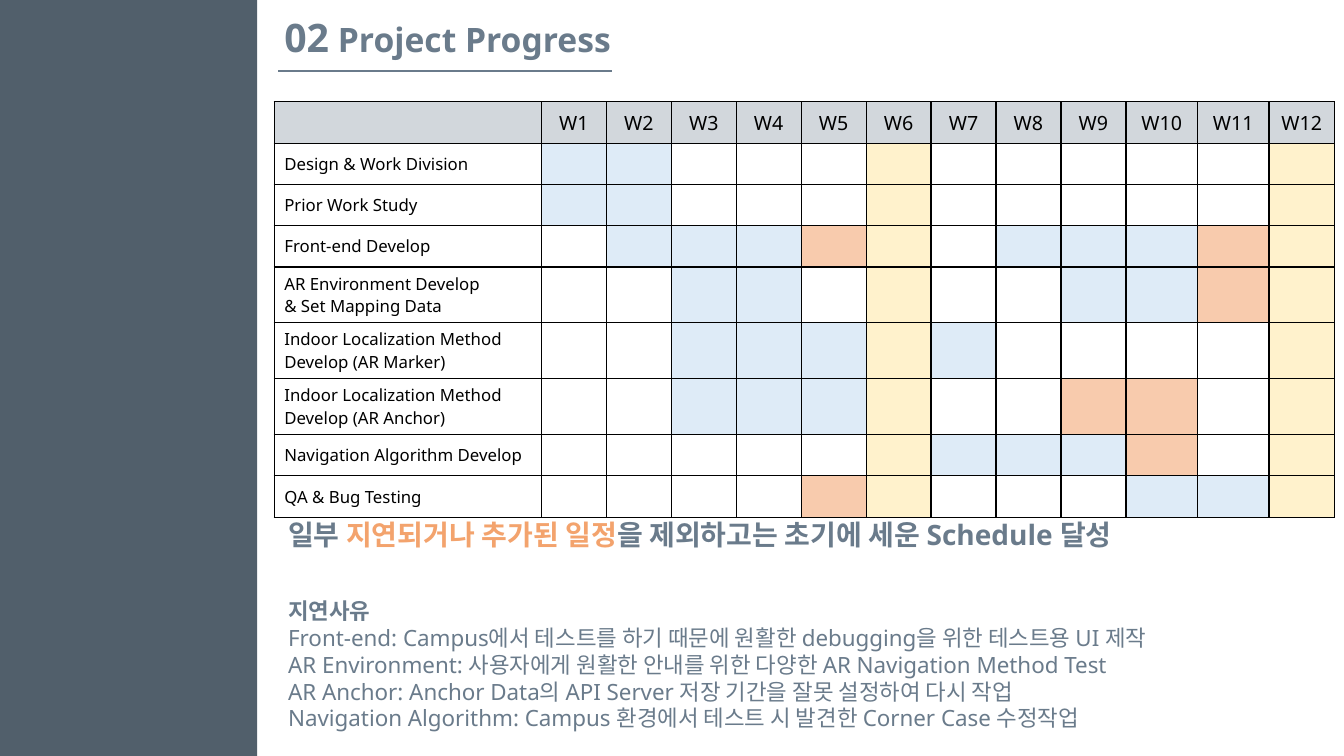
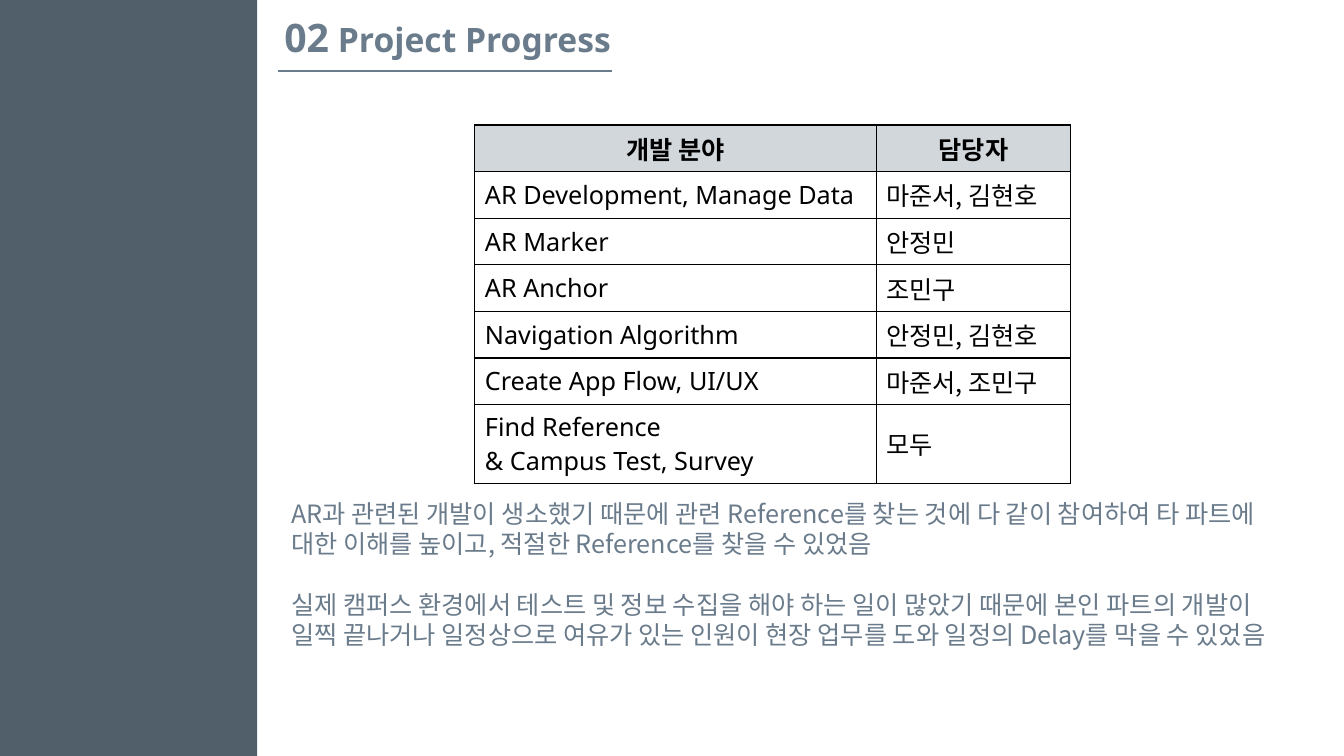
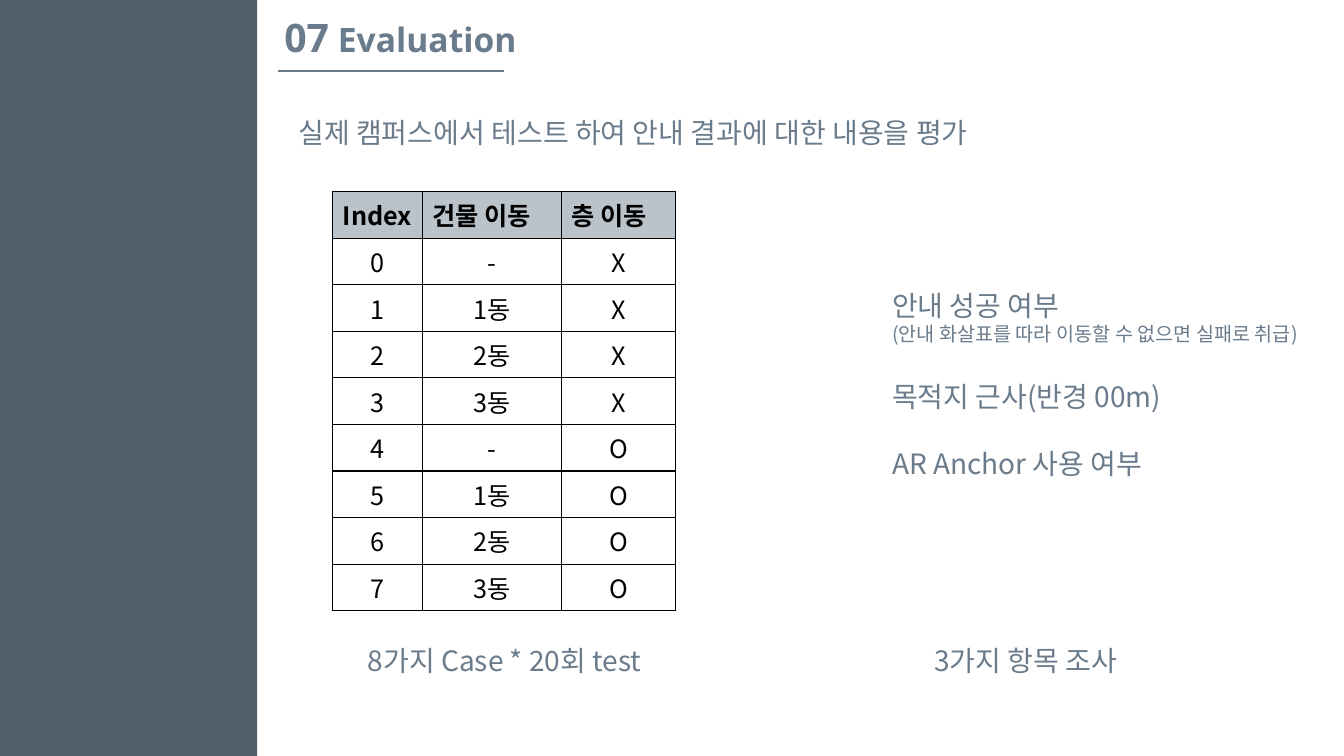
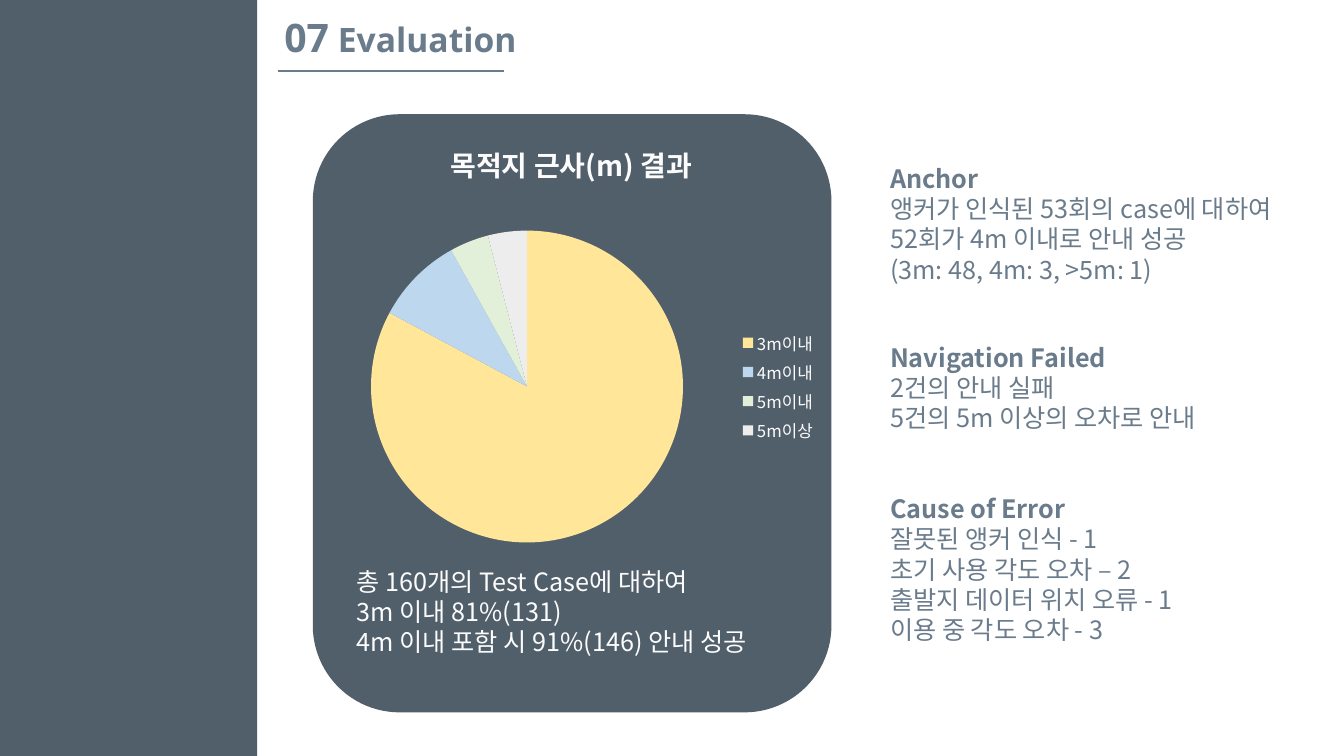
from dataclasses import dataclass

from lxml.etree import SubElement
from pptx import Presentation
from pptx.chart.data import CategoryChartData
from pptx.dml.color import RGBColor
from pptx.enum.chart import XL_CHART_TYPE, XL_LEGEND_POSITION
from pptx.enum.shapes import MSO_CONNECTOR, MSO_SHAPE
from pptx.enum.text import MSO_ANCHOR, MSO_AUTO_SIZE, PP_ALIGN
from pptx.oxml.ns import qn
from pptx.util import Inches, Pt


@dataclass(frozen=True)
class Theme:
    latin: str = "Noto Sans"
    korean: str = "Noto Sans CJK KR"
    band: str = "515F6B"
    text: str = "6A7B8B"
    accent: str = "F3A36D"
    light: str = "FCFCFC"
    black: str = "000000"
    white: str = "FFFFFF"
    header: str = "D2D7DC"
    header_dark: str = "BAC2CA"
    planned: str = "DEEBF7"
    delayed: str = "F8CBAD"
    exam: str = "FFF2CC"
    slices: tuple = ("FFE699", "BDD7EE", "E2F0D9", "EDEDED")
    number: int = 28
    title: int = 24
    lead: int = 20
    body: int = 18
    reason: int = 16
    small: int = 14
    task: int = 12
    leading: float = 1.2


THEME = Theme()
SLIDE_SIZE = (13.33, 7.5)
BAND_WIDTH = 2.55
TITLE_AT = (2.72, 0, 5.61, 0.73)
ROW_HEIGHT = 0.41

PROGRESS = ("02", " Project Progress", 6.07)
EVALUATION = ("07", " Evaluation", 5)

WEEK_FILLS = {".": THEME.white, "p": THEME.planned, "d": THEME.delayed, "e": THEME.exam}
SCHEDULE = [
    ("Design & Work Division", "pp...e.....e"),
    ("Prior Work Study", "pp...e.....e"),
    ("Front-end Develop", ".pppde.pppde"),
    ("AR Environment Develop\n& Set Mapping Data", "..pp.e..ppde"),
    ("Indoor Localization Method\nDevelop (AR Marker)", "..pppep....e"),
    ("Indoor Localization Method\nDevelop (AR Anchor)", "..pppe..dd.e"),
    ("Navigation Algorithm Develop", ".....epppd.e"),
    ("QA & Bug Testing", "....de...ppe"),
]
SCHEDULE_AT = (2.72, 1.01)
SCHEDULE_WIDTH = 10.52
TASK_WIDTH = 2.65
LAST_WEEKS = [0.71, 0.71, 0.65]

SCHEDULE_RESULT = [
    ("일부 ", {}),
    ("지연되거나 추가된 일정", {"color": THEME.accent}),
    ("을 제외하고는 초기에 세운 Schedule 달성", {}),
]
DELAY_REASONS = [
    ("지연사유", {"bold": True}),
    "Front-end: Campus에서 테스트를 하기 때문에 원활한 debugging을 위한 테스트용 UI 제작",
    "AR Environment: 사용자에게 원활한 안내를 위한 다양한 AR Navigation Method Test",
    "AR Anchor: Anchor Data의 API Server 저장 기간을 잘못 설정하여 다시 작업",
    "Navigation Algorithm: Campus 환경에서 테스트 시 발견한 Corner Case 수정작업",
]

ROLES = [
    ("개발 분야", "담당자"),
    ("AR Development, Manage Data", "마준서, 김현호"),
    ("AR Marker", "안정민"),
    ("AR Anchor", "조민구"),
    ("Navigation Algorithm", "안정민, 김현호"),
    ("Create App Flow, UI/UX", "마준서, 조민구"),
    ("Find Reference\n& Campus Test, Survey", "모두"),
]
ROLE_NOTES = [
    "AR과 관련된 개발이 생소했기 때문에 관련 Reference를 찾는 것에 다 같이 참여하여 타 "
    "파트에 대한 이해를 높이고, 적절한 Reference를 찾을 수 있었음",
    ("실제 캠퍼스 환경에서 테스트 및 정보 수집을 해야 하는 일이 많았기 때문에 본인 파트의 개발이 "
     "일찍 끝나거나 일정상으로 여유가 있는 인원이 현장 업무를 도와 일정의 Delay를 막을 수 있었음",
     {"gap": 1}),
]

CASE_HEADER = ("Index", "건물 이동", "층 이동")
BUILDINGS = ("-", "1동", "2동", "3동")
FLOORS = ("X", "O")
CRITERIA = [
    "안내 성공 여부",
    ("(안내 화살표를 따라 이동할 수 없으면 실패로 취급)", {"size": THEME.small}),
    ("목적지 근사(반경 00m)", {"gap": 1}),
    ("AR Anchor 사용 여부", {"gap": 1}),
]

DISTANCES = [("3m이내", 82), ("4m이내", 9), ("5m이내", 4), ("5m이상", 4)]
DISTANCE_SUMMARY = [
    "총 160개의 Test Case에 대하여",
    "3m 이내 81%(131)",
    "4m 이내 포함 시 91%(146) 안내 성공",
]
ANCHOR_RESULT = [
    ("Anchor", {"bold": True}),
    "앵커가 인식된 53회의 case에 대하여",
    "52회가 4m 이내로 안내 성공",
    "(3m: 48, 4m: 3, >5m: 1)",
]
FAILURES = [
    ("Navigation Failed", {"bold": True}),
    "2건의 안내 실패",
    "5건의 5m 이상의 오차로 안내",
    ("Cause of Error", {"bold": True, "gap": 2}),
    "잘못된 앵커 인식 - 1",
    "초기 사용 각도 오차 – 2",
    "출발지 데이터 위치 오류 - 1",
    "이용 중 각도 오차 - 3",
]


def rgb(value):
    return RGBColor.from_string(value)


def set_attributes(target, values):
    for name, value in values.items():
        setattr(target, name, value)


def inches(lengths):
    return [Inches(length) for length in lengths]


def format_font(font, size, name=THEME.korean, color=THEME.text, bold=False):
    set_attributes(font, {"size": Pt(size), "name": name, "bold": bold})
    font.color.rgb = rgb(color)


def add_run(paragraph, text, **style):
    run = paragraph.add_run()
    run.text = text
    format_font(run.font, **style)
    SubElement(run._r.get_or_add_rPr(), qn("a:ea"), typeface=THEME.korean)


def add_text(slide, at, lines, size, align=PP_ALIGN.LEFT, anchor=MSO_ANCHOR.MIDDLE, **style):
    frame = slide.shapes.add_textbox(*inches(at)).text_frame
    set_attributes(frame, {"word_wrap": True, "vertical_anchor": anchor})
    for index, line in enumerate(lines):
        content, changes = (line, {}) if isinstance(line, str) else line
        merged = {"size": size, **style, **changes}
        gap = merged.pop("gap", 0)
        paragraph = frame.add_paragraph() if index else frame.paragraphs[0]
        set_attributes(paragraph, {
            "alignment": align,
            "line_spacing": Pt(merged["size"] * THEME.leading),
            "space_before": Pt(gap * size * THEME.leading),
        })
        runs = [(content, {})] if isinstance(content, str) else content
        for text, run_changes in runs:
            add_run(paragraph, text, **{**merged, **run_changes})


def border_cell(cell):
    properties = cell._tc.get_or_add_tcPr()
    for position, side in enumerate(("a:lnL", "a:lnR", "a:lnT", "a:lnB")):
        line = SubElement(properties, qn(side), w=str(Pt(1)))
        fill = SubElement(line, qn("a:solidFill"))
        SubElement(fill, qn("a:srgbClr"), val=THEME.black)
        properties.insert(position, line)


def add_grid(slide, at, widths, rows, style_cell):
    size = (sum(widths), ROW_HEIGHT * len(rows))
    table = slide.shapes.add_table(len(rows), len(widths), *inches(at + size)).table
    set_attributes(table, {"first_row": False, "horz_banding": False})
    for column, width in zip(table.columns, widths):
        column.width = Inches(width)
    for row_index, row in enumerate(rows):
        for column_index, text in enumerate(row):
            cell = table.cell(row_index, column_index)
            fill, align, style = style_cell(row_index, column_index)
            cell.vertical_anchor = MSO_ANCHOR.MIDDLE
            cell.fill.solid()
            cell.fill.fore_color.rgb = rgb(fill)
            border_cell(cell)
            for index, line in enumerate(text.split("\n") if text else []):
                frame = cell.text_frame
                paragraph = frame.add_paragraph() if index else frame.paragraphs[0]
                paragraph.alignment = align
                add_run(paragraph, line, color=THEME.black, **style)


def add_filled_shape(slide, kind, at, color):
    shape = slide.shapes.add_shape(kind, *inches(at))
    shape.shadow.inherit = False
    shape.fill.solid()
    shape.fill.fore_color.rgb = rgb(color)
    shape.line.color.rgb = rgb(color)
    shape.line.width = Pt(1)
    return shape


def add_band(slide):
    band = add_filled_shape(slide, MSO_SHAPE.RECTANGLE, (0, 0, BAND_WIDTH, SLIDE_SIZE[1]), THEME.band)
    band.line.fill.background()
    band.element.nvSpPr.cNvPr.set("id", "100")
    slide.slide_layout.shapes.element.insert(2, band.element)


def add_slide(presentation, heading):
    number, name, rule_end = heading
    slide = presentation.slides.add_slide(presentation.slide_layouts[5])
    title = slide.shapes.title
    set_attributes(title, dict(zip(("left", "top", "width", "height"), inches(TITLE_AT))))
    frame = title.text_frame
    set_attributes(frame, {
        "word_wrap": True,
        "vertical_anchor": MSO_ANCHOR.MIDDLE,
        "auto_size": MSO_AUTO_SIZE.NONE,
    })
    paragraph = frame.paragraphs[0]
    paragraph.alignment = PP_ALIGN.LEFT
    for text, size in ((number, THEME.number), (name, THEME.title)):
        add_run(paragraph, text, size=size, name=THEME.latin, bold=True)
    rule = slide.shapes.add_connector(MSO_CONNECTOR.STRAIGHT, *inches((2.76, 0.7, rule_end, 0.7)))
    rule.line.color.rgb = rgb(THEME.text)
    rule.line.width = Pt(1.5)
    SubElement(rule.element.spPr, qn("a:effectLst"))
    return slide


def build_schedule(presentation):
    slide = add_slide(presentation, PROGRESS)
    add_band(slide)
    week_count = len(SCHEDULE[0][1])
    regular = week_count - len(LAST_WEEKS)
    week_width = (SCHEDULE_WIDTH - TASK_WIDTH - sum(LAST_WEEKS)) / regular
    widths = [TASK_WIDTH] + [week_width] * regular + LAST_WEEKS
    rows = [[""] + [f"W{week + 1}" for week in range(week_count)]]
    rows += [[task] + [""] * week_count for task, _ in SCHEDULE]

    def style_cell(row, column):
        if row == 0:
            return THEME.header, PP_ALIGN.CENTER, {"size": THEME.small, "name": THEME.latin}
        fill = WEEK_FILLS[SCHEDULE[row - 1][1][column - 1]] if column else THEME.white
        return fill, PP_ALIGN.LEFT, {"size": THEME.task, "name": THEME.latin}

    add_grid(slide, SCHEDULE_AT, widths, rows, style_cell)
    add_text(slide, (2.76, 4.94, 9.38, 0.73), [(SCHEDULE_RESULT, {})], THEME.lead,
             name=THEME.latin, bold=True)
    add_text(slide, (2.76, 5.82, 10.36, 1.54), DELAY_REASONS, THEME.reason, name=THEME.latin)


def build_roles(presentation):
    slide = add_slide(presentation, PROGRESS)

    def style_cell(row, column):
        style = {
            "size": THEME.body,
            "name": THEME.korean if column else THEME.latin,
            "bold": row == 0,
        }
        if row == 0:
            return THEME.header, PP_ALIGN.CENTER, style
        return THEME.white, PP_ALIGN.LEFT, style

    add_grid(slide, (4.71, 1.24), [3.98, 1.93], ROLES, style_cell)
    add_text(slide, (2.79, 4.95, 9.92, 1.49), ROLE_NOTES, THEME.body)


def build_test_plan(presentation):
    slide = add_slide(presentation, EVALUATION)
    cases = [(building, floor) for floor in FLOORS for building in BUILDINGS]
    rows = [CASE_HEADER] + [(str(index), *case) for index, case in enumerate(cases)]

    def style_cell(row, column):
        style = {"size": THEME.body, "bold": row == 0}
        if row == 0:
            return THEME.header_dark, PP_ALIGN.LEFT, style
        return THEME.white, PP_ALIGN.CENTER, style

    add_grid(slide, (3.3, 1.9), [0.89, 1.38, 1.13], rows, style_cell)
    add_text(slide, (2.74, 6.19, 4.53, 0.73), ["8가지 Case * 20회 test"], THEME.lead, PP_ALIGN.CENTER)
    add_text(slide, (8.75, 3.45, 4.53, 0.73), CRITERIA, THEME.lead)
    add_text(slide, (7.91, 6.19, 4.53, 0.73), ["3가지 항목 조사"], THEME.lead, PP_ALIGN.CENTER)
    add_text(slide, (2.86, 0.95, 8.71, 0.73),
             ["실제 캠퍼스에서 테스트 하여 안내 결과에 대한 내용을 평가"], THEME.lead)


def add_distance_chart(slide):
    data = CategoryChartData()
    data.categories = [label for label, _ in DISTANCES]
    data.add_series("Series 1", [value for _, value in DISTANCES])
    chart = slide.shapes.add_chart(
        XL_CHART_TYPE.PIE, *inches((3.14, 2.15, 5.06, 3.37)), data).chart
    set_attributes(chart, {"has_title": False, "has_legend": True})
    format_font(chart.font, 10, color=THEME.black)
    set_attributes(chart.legend, {"position": XL_LEGEND_POSITION.RIGHT, "include_in_layout": False})
    format_font(chart.legend.font, THEME.task, color=THEME.light)
    plot = chart.plots[0]
    plot.vary_by_categories = True
    for index, color in enumerate(THEME.slices):
        point = plot.series[0].points[index].format
        point.fill.solid()
        point.fill.fore_color.rgb = rgb(color)
        point.line.fill.background()


def build_results(presentation):
    slide = add_slide(presentation, EVALUATION)
    add_filled_shape(slide, MSO_SHAPE.ROUNDED_RECTANGLE, (3.11, 1.14, 5.13, 5.92), THEME.band)
    add_distance_chart(slide)
    add_text(slide, (3.44, 5.7, 4.53, 0.73), DISTANCE_SUMMARY, THEME.body, color=THEME.light)
    add_text(slide, (4.03, 1.28, 3.27, 0.73), ["목적지 근사(m) 결과"], THEME.lead,
             PP_ALIGN.CENTER, color=THEME.light, bold=True)
    add_text(slide, (8.73, 1.57, 4.53, 1.3), ANCHOR_RESULT, THEME.body, anchor=MSO_ANCHOR.TOP)
    add_text(slide, (8.73, 4.53, 4.53, 0.73), FAILURES, THEME.body)


def main():
    presentation = Presentation()
    set_attributes(presentation, dict(zip(("slide_width", "slide_height"), inches(SLIDE_SIZE))))
    for build in (build_schedule, build_roles, build_test_plan, build_results):
        build(presentation)
    presentation.save("out.pptx")


if __name__ == "__main__":
    main()
